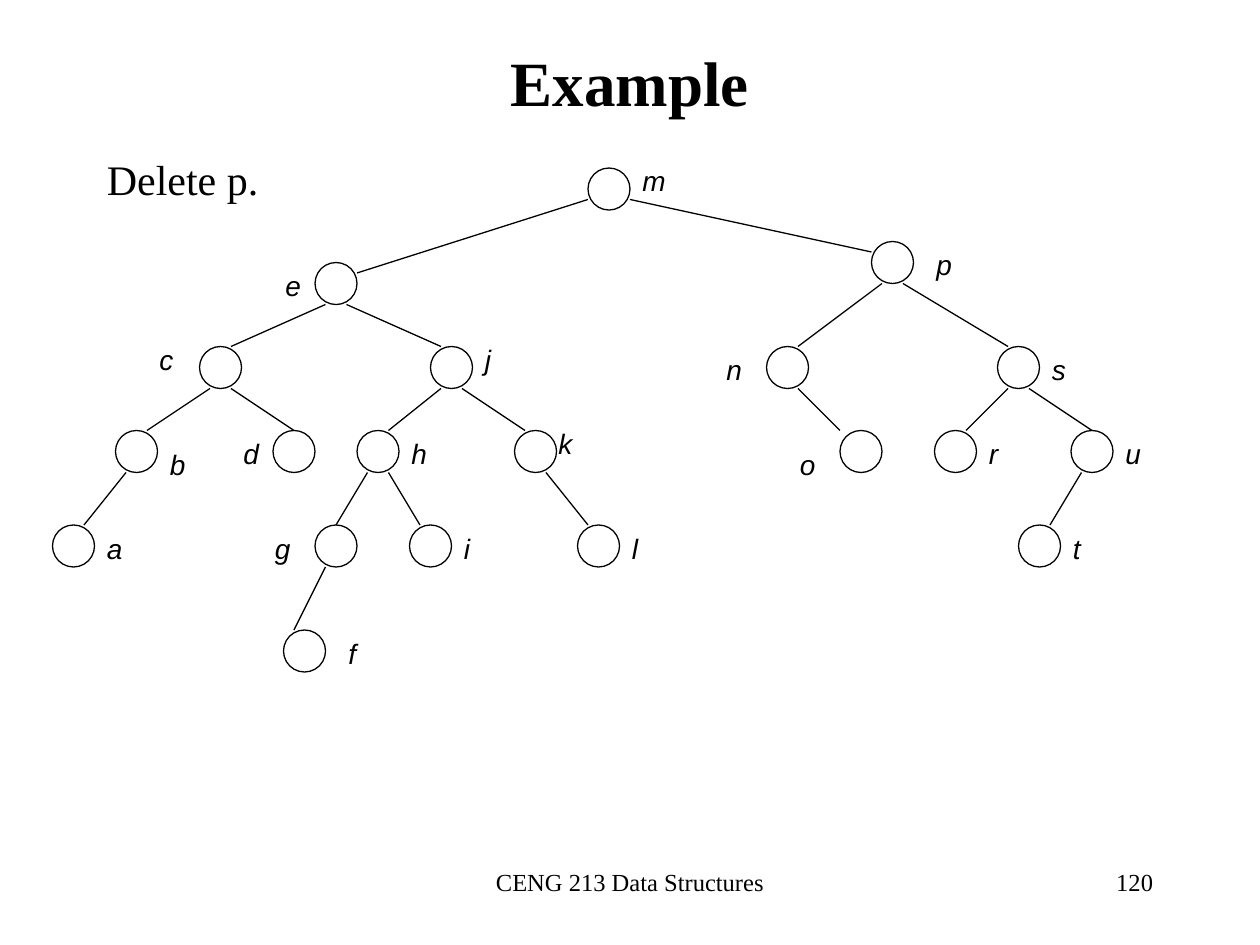
from pptx import Presentation
from pptx.dml.color import RGBColor
from pptx.enum.shapes import MSO_CONNECTOR as LINE, MSO_SHAPE as SHAPE
from pptx.enum.text import MSO_ANCHOR as ANCHOR, MSO_AUTO_SIZE as FIT, PP_ALIGN as ALIGN
from pptx.oxml.ns import qn
from pptx.util import Inches, Pt
from lxml.etree import SubElement

INK = "000000"
SERIF, SANS = "Times New Roman", "Arial"

deck = Presentation()
deck.slide_width, deck.slide_height = Inches(10), Inches(7.5)
slide = deck.slides.add_slide(deck.slide_layouts[5])
shapes = slide.shapes
unit = deck.slide_width / 120


def grid(*steps):
    return [round(step * unit) for step in steps]


def paint(target, color=INK):
    target.rgb = RGBColor.from_string(color)


heading = shapes.title
heading.left, heading.top, heading.width, heading.height = grid(9, 5, 102, 5.4)
heading.text_frame.text = "Example"
heading.text_frame.auto_size = FIT.NONE
heading.text_frame.vertical_anchor = ANCHOR.MIDDLE
title_line = heading.text_frame.paragraphs[0]
title_line.alignment = ALIGN.CENTER
title_line.font.name, title_line.font.size, title_line.font.bold = SERIF, Pt(36), True
paint(title_line.font.color)

# node: column, row, label offset, parent, column on the node where its edge ends
tree = {
    "m": (56, 16, 4, -1, None, 0),
    "e": (30, 25, -4, 0, "m", 4),
    "p": (83, 23, 5, 0, "m", 0),
    "c": (19, 33, -5, -1, "e", 3),
    "j": (41, 33, 4, -1, "e", 1),
    "n": (73, 33, -5, 0, "p", 3),
    "s": (95, 33, 4, 0, "p", 1),
    "b": (11, 41, 4, 1, "c", 3),
    "d": (26, 41, -4, 0, "c", 2),
    "h": (34, 41, 4, 0, "j", 3),
    "k": (49, 41, 3, -1, "j", 1),
    "o": (80, 41, -5, 1, "n", 0),
    "r": (89, 41, 4, 0, "s", 3),
    "u": (102, 41, 4, 0, "s", 2),
    "a": (5, 50, 4, 0, "b", 3),
    "g": (30, 50, -5, 0, "h", 2),
    "i": (39, 50, 4, 0, "h", 1),
    "l": (55, 50, 4, 0, "k", 1),
    "t": (97, 50, 4, 0, "u", 3),
    "f": (27, 60, 5, 0, "g", 1),
}

captions = [
    ("CENG 213 Data Structures", 41, 82, 38, 6, SERIF, 14, ALIGN.CENTER, 0),
    ("120", 86, 82, 25, 6, SERIF, 14, ALIGN.RIGHT, 0),
    ("Delete p.", 9, 14, 62, 6, SERIF, 24, ALIGN.LEFT, 15),
]

for key, (column, row, label_dx, label_dy, parent, end_dx) in tree.items():
    node = shapes.add_shape(SHAPE.OVAL, *grid(column, row, 4, 4))
    node.shadow.inherit = False
    node.fill.background()
    node.line.width = Pt(0.75)
    paint(node.line.color)
    captions.append((key, column + label_dx, row + label_dy, 7, 4.4, SANS, 16, ALIGN.LEFT, 10))

    if parent:
        parent_column, parent_row = tree[parent][:2]
        goes_right = column > parent_column
        if parent == "m":
            start_dx, start_dy, end_dy = 4 * goes_right, 3, 1
        else:
            start_dx, start_dy, end_dy = 1 + 2 * goes_right, 4, 0
        edge = shapes.add_connector(
            LINE.STRAIGHT,
            *grid(parent_column + start_dx, parent_row + start_dy, column + end_dx, row + end_dy),
        )
        edge.line.width = Pt(0.75)
        paint(edge.line.color)
        SubElement(edge.element.spPr, qn("a:effectLst"))

for words, column, row, width, height, face, size, alignment, gap in captions:
    caption = shapes.add_textbox(*grid(column, row, width, height)).text_frame
    caption.word_wrap = True
    caption.text = words
    line = caption.paragraphs[0]
    line.alignment = alignment
    line.space_before = Pt(gap)
    line.font.name, line.font.size = face, Pt(size)
    line.font.italic = face == SANS
    paint(line.font.color)

deck.save("out.pptx")
